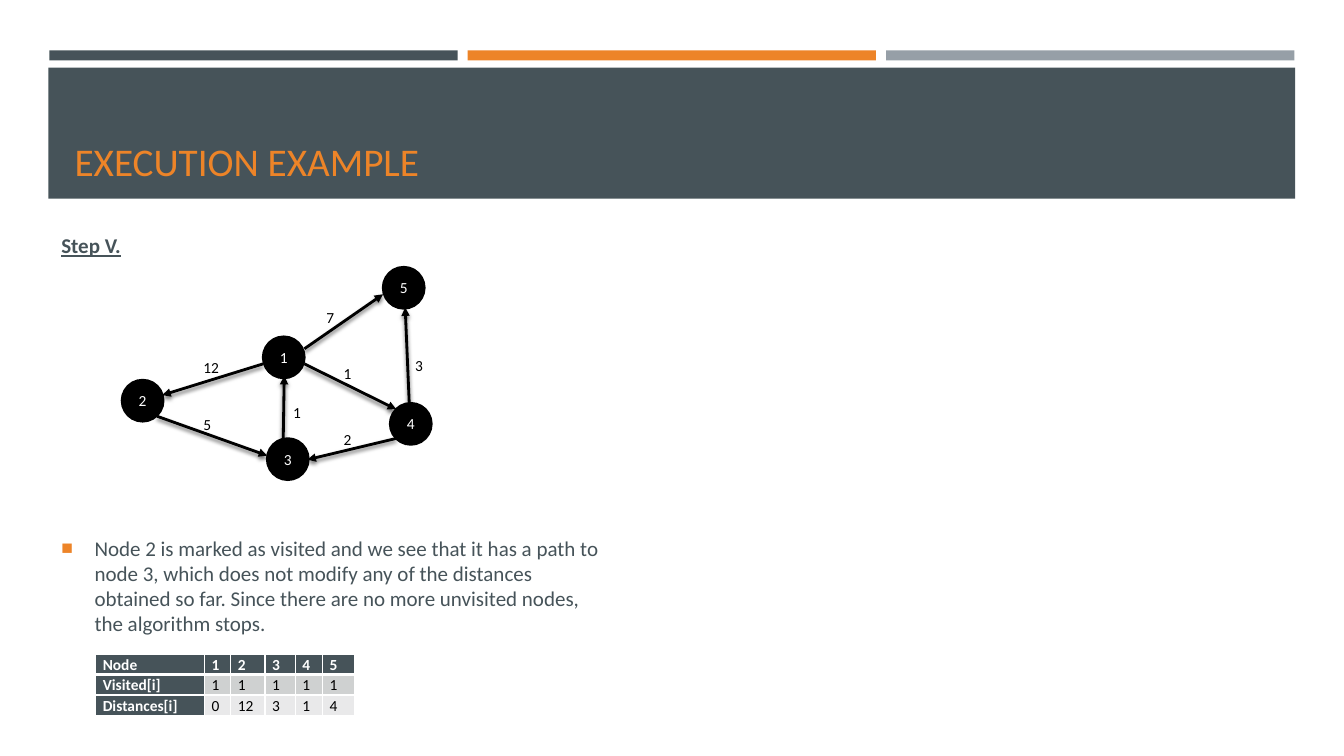
from dataclasses import dataclass

from lxml import etree
from pptx import Presentation
from pptx import util as u
from pptx.dml.color import RGBColor
from pptx.enum import shapes, text
from pptx.oxml import parse_xml
from pptx.oxml.ns import nsdecls, qn


@dataclass(frozen=True)
class Theme:
    slate: str = "465359"
    orange: str = "ED8428"
    grey: str = "969FA7"
    black: str = "000000"
    white: str = "FFFFFF"
    band_dark: str = "CFD1D1"
    band_light: str = "E9E9EA"
    font: str = "Calibri"
    title: float = 28
    body: float = 15
    small: float = 11
    spacing: float = 1.07


def cells(n):
    """Length of n grid cells; columns and rows are a tenth of an inch."""
    return u.Inches(n / 10)


def apply(target, values):
    for name, value in values.items():
        setattr(target, name, value)


def xml(markup):
    return parse_xml(f"<a:root {nsdecls('a')}>{markup}</a:root>")[0]


class SlideBuilder:
    def __init__(self, prs, theme):
        self.theme = theme
        self.slide = prs.slides.add_slide(prs.slide_layouts[5])
        self.shapes = self.slide.shapes

    def add_text(self, p, words, size, color, font=None, **para):
        r = p.add_run()
        r.text = words
        apply(p, para)
        apply(r.font, {"name": self.theme.font, "size": u.Pt(size), **(font or {})})
        r.font.color.rgb = RGBColor.from_string(color)

    def frame(self, sp, anchor, **margins):
        tf = sp.text_frame
        apply(tf, {"word_wrap": True, "vertical_anchor": anchor,
                   "auto_size": text.MSO_AUTO_SIZE.NONE, **margins})
        return tf

    def title(self, words, box):
        sp = self.shapes.title
        apply(sp, dict(zip(("left", "top", "width", "height"), map(cells, box))))
        self.shapes._spTree.append(sp._element)  # in front of the banner
        tf = self.frame(sp, text.MSO_ANCHOR.BOTTOM)
        self.add_text(tf.paragraphs[0], words, self.theme.title, self.theme.orange,
                      alignment=text.PP_ALIGN.LEFT)

    def shape(self, kind, box, color, line=None):
        sp = self.shapes.add_shape(kind, *map(cells, box))
        sp.shadow.inherit = False
        sp.fill.solid()
        sp.fill.fore_color.rgb = RGBColor.from_string(color)
        if line:
            sp.line.color.rgb = RGBColor.from_string(color)
            sp.line.width = u.Pt(line)
        else:
            sp.line.fill.background()
        return sp

    def node(self, words, x, y, size=4.1):
        sp = self.shape(shapes.MSO_SHAPE.OVAL, (x, y, size, size), self.theme.black, 1.75)
        tf = self.frame(sp, text.MSO_ANCHOR.MIDDLE, margin_left=0, margin_right=0,
                        margin_top=0, margin_bottom=0)
        self.add_text(tf.paragraphs[0], words, self.theme.small, self.theme.white,
                      alignment=text.PP_ALIGN.CENTER)

    def textbox(self, box, **margins):
        return self.frame(self.shapes.add_textbox(*map(cells, box)),
                          text.MSO_ANCHOR.TOP, **margins)

    def label(self, words, x, y):
        tf = self.textbox((x, y, 4, 3.6))
        self.add_text(tf.paragraphs[0], words, self.theme.small, self.theme.black,
                      line_spacing=self.theme.spacing)

    def arrow(self, start, end):
        cx = self.shapes.add_connector(shapes.MSO_CONNECTOR.STRAIGHT,
                                       *map(cells, (*start, *end)))
        cx.line.color.rgb = RGBColor.from_string(self.theme.black)
        cx.line.width = u.Pt(2)
        spPr = cx._element.spPr
        etree.SubElement(spPr.find(qn("a:ln")), qn("a:tailEnd"), type="triangle")
        spPr.append(xml(
            f'<a:effectLst><a:outerShdw blurRad="{u.Pt(3)}" dist="{u.Pt(2)}" dir="5400000" '
            f'rotWithShape="0"><a:srgbClr val="{self.theme.black}"><a:alpha val="55000"/>'
            '</a:srgbClr></a:outerShdw></a:effectLst>'))

    def bullet(self, p, indent):
        pPr = p._p.get_or_add_pPr()
        pPr.set("marL", str(cells(indent)))
        pPr.set("indent", str(-cells(indent)))
        for markup in (f'<a:buClr><a:srgbClr val="{self.theme.orange}"/></a:buClr>',
                       '<a:buSzPct val="92000"/>', '<a:buFont typeface="Arial"/>',
                       '<a:buChar char="■"/>'):
            pPr.append(xml(markup))

    def cell(self, cell, words, fill, color, bold, top, bottom):
        apply(cell, {"margin_left": cells(0.7), "margin_right": cells(0.7),
                     "margin_top": 0, "margin_bottom": 0})
        self.add_text(cell.text_frame.paragraphs[0], words, self.theme.small, color,
                      {"bold": bold}, line_spacing=self.theme.spacing)
        cell.fill.solid()
        cell.fill.fore_color.rgb = RGBColor.from_string(fill)
        tcPr = cell._tc.get_or_add_tcPr()
        for i, (side, width) in enumerate(zip("LRTB", (1, 1, top, bottom))):
            tcPr.insert(i, xml(
                f'<a:ln{side} w="{u.Pt(width)}"><a:solidFill><a:srgbClr '
                f'val="{self.theme.white}"/></a:solidFill></a:ln{side}>'))

    def table(self, rows, x, y, widths, height):
        t = self.theme
        table = self.shapes.add_table(
            len(rows), len(widths), cells(x), cells(y),
            cells(sum(widths)), cells(height * len(rows))).table
        apply(table, {"first_row": False, "horz_banding": False})
        for column, width in zip(table.columns, widths):
            column.width = cells(width)
        bands = (t.slate, t.band_dark, t.band_light)
        for i, row in enumerate(rows):
            table.rows[i].height = cells(height)
            for j, words in enumerate(row):
                head = i == 0 or j == 0
                self.cell(table.cell(i, j), words, t.slate if head else bands[i],
                          t.white if head else t.black, head,
                          top=3 if i == 1 else 1, bottom=3 if i == 0 else 1)


theme = Theme()
prs = Presentation()
apply(prs, {"slide_width": cells(133.33), "slide_height": cells(75)})
s = SlideBuilder(prs, theme)

# Banner and title
for i, color in enumerate((theme.slate, theme.orange, theme.grey)):
    s.shape(shapes.MSO_SHAPE.RECTANGLE, (4.9 + 41.5 * i, 5, 40.5, 1), color)
s.shape(shapes.MSO_SHAPE.RECTANGLE, (4.8, 6.7, 123.7, 13), theme.slate)
s.title("EXECUTION EXAMPLE", (6.4, 7.7, 120.6, 11.1))

# Step heading and explanation, with room for the graph between them
tf = s.textbox((5.1, 22.4, 56.4, 48.4), margin_top=cells(0.7))
s.add_text(tf.paragraphs[0], "Step V.", theme.body, theme.slate,
           {"bold": True, "underline": True})
explanation = tf.add_paragraph()
s.add_text(explanation,
           "Node 2 is marked as visited and we see that it has a path to node 3, which "
           "does not modify any of the distances obtained so far. Since there are no "
           "more unvisited nodes, the algorithm stops.",
           theme.body, theme.slate, space_before=u.Pt(198))
s.bullet(explanation, 3.3)

# Graph: nodes, then edges with their weights
nodes = {"1": (26.1, 33.4), "2": (12.1, 37.7), "3": (26.5, 43.5),
         "4": (38.7, 40), "5": (38, 26.5)}
for name, corner in nodes.items():
    s.node(name, *corner)

edges = [  # weight, start, end, label corner
    ("12", (26.1, 36.1), (16.1, 39.2), (19.2, 34.9)),
    ("3", (40.6, 40), (40.2, 30.5), (40.2, 34.7)),
    ("7", (30.2, 34.6), (38, 29.2), (31.4, 30)),
    ("5", (15.6, 41.3), (26.5, 45.2), (19.2, 40.6)),
    ("1", (28.1, 43.5), (28.2, 37.3), (28.1, 39.4)),
    ("2", (39.3, 43.5), (30.5, 45.6), (33.1, 42.1)),
    ("1", (30.2, 36.1), (39.3, 40.6), (33.1, 35.5)),
]
for weight, start, end, corner in edges:
    s.arrow(start, end)
    s.label(weight, *corner)

# Table of visited flags and distances
s.table([("Node", *nodes),
         ("Visited[i]", *"11111"),
         ("Distances[i]", "0", "12", "3", "1", "4")],
        9.5, 64.9, (10.8, 2.6, 3.4, 3, 2.7, 3.2), 1.97)

prs.save("out.pptx")
